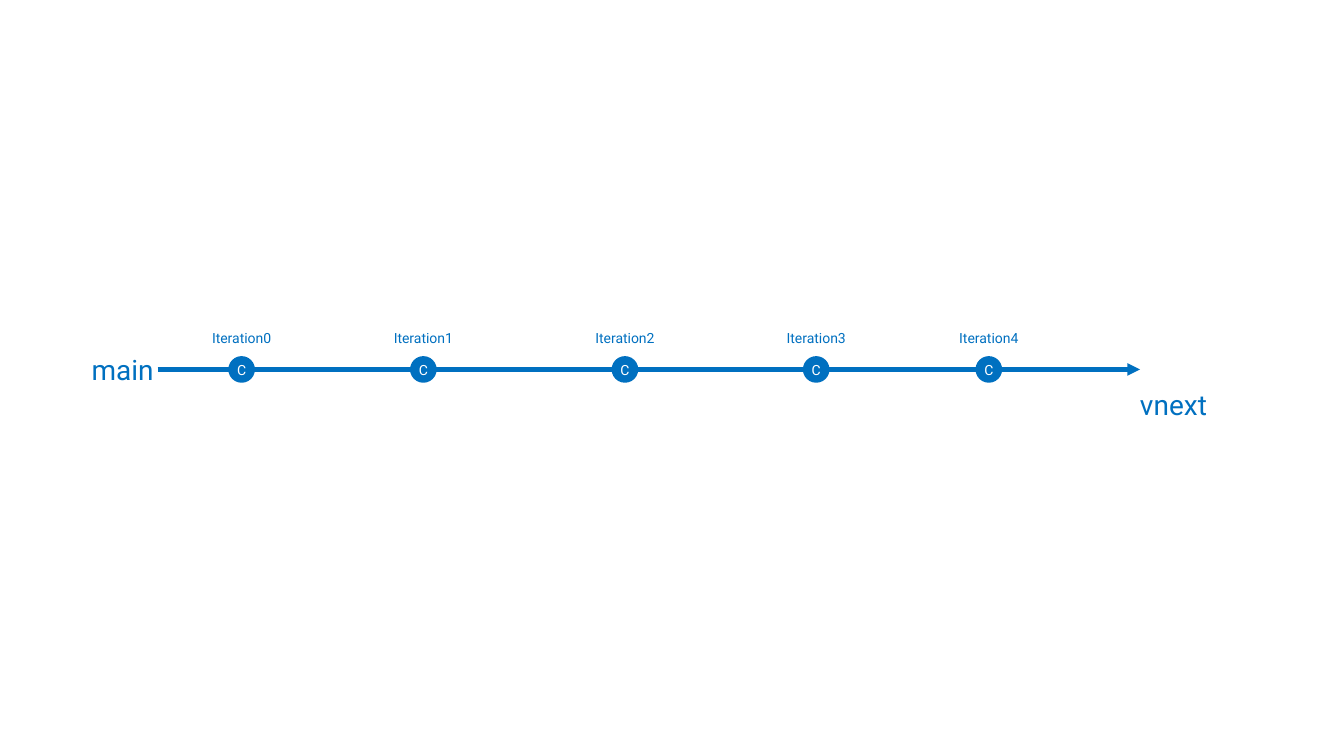
from dataclasses import dataclass

from lxml.etree import SubElement
from pptx import Presentation
from pptx.dml.color import RGBColor
from pptx.enum.shapes import MSO_CONNECTOR, MSO_SHAPE
from pptx.enum.text import MSO_ANCHOR, PP_ALIGN
from pptx.oxml.ns import qn
from pptx.util import Cm, Pt


@dataclass(frozen=True)
class Theme:
    font: str = "Roboto"
    blue: RGBColor = RGBColor(0x00, 0x70, 0xC0)
    white: RGBColor = RGBColor(0xFF, 0xFF, 0xFF)
    branch_size: int = 20
    commit_size: int = 10
    outline: int = 2
    track: int = 3


class BranchDiagram:
    def __init__(self, slide, theme):
        self.shapes = slide.shapes
        self.theme = theme

    def set_text(self, shape, text, size, color, align, anchor, inset=0.0):
        frame = shape.text_frame
        frame.text = text
        frame.word_wrap = True
        frame.vertical_anchor = anchor
        frame.margin_left = frame.margin_right = Cm(inset)
        frame.margin_top = frame.margin_bottom = Cm(inset)
        paragraph = frame.paragraphs[0]
        paragraph.alignment = align
        run = paragraph.runs[0]
        run.font.name = self.theme.font
        run.font.size = Pt(size)
        run.font.color.rgb = color
        return run

    def commit(self, center, middle, diameter):
        circle = self.shapes.add_shape(
            MSO_SHAPE.OVAL, Cm(center - diameter / 2), Cm(middle - diameter / 2),
            Cm(diameter), Cm(diameter))
        circle.shadow.inherit = False
        circle.fill.solid()
        circle.fill.fore_color.rgb = self.theme.blue
        circle.line.color.rgb = self.theme.blue
        circle.line.width = Pt(self.theme.outline)
        letter = self.set_text(circle, "C", self.theme.commit_size, self.theme.white,
                               PP_ALIGN.CENTER, MSO_ANCHOR.BOTTOM)
        letter.font._element.set("spc", "-50")

    def iteration(self, text, center, top, width=2.01, height=0.51):
        label = self.shapes.add_shape(
            MSO_SHAPE.ROUNDED_RECTANGLE, Cm(center - width / 2), Cm(top),
            Cm(width), Cm(height))
        label.shadow.inherit = False
        label.fill.background()
        label.line.fill.background()
        self.set_text(label, text, self.theme.commit_size, self.theme.blue,
                      PP_ALIGN.CENTER, MSO_ANCHOR.MIDDLE, inset=0.1)

    def branch_name(self, text, left, top, width, height=0.86):
        box = self.shapes.add_textbox(Cm(left), Cm(top), Cm(width), Cm(height))
        self.set_text(box, text, self.theme.branch_size, self.theme.blue,
                      PP_ALIGN.LEFT, MSO_ANCHOR.TOP)

    def track(self, start, end, middle, arrow=False):
        segment = self.shapes.add_connector(
            MSO_CONNECTOR.STRAIGHT, Cm(start), Cm(middle), Cm(end), Cm(middle))
        segment.line.color.rgb = self.theme.blue
        segment.line.width = Pt(self.theme.track)
        properties = segment._element.spPr
        if arrow:
            SubElement(properties.find(qn("a:ln")), qn("a:tailEnd"), type="triangle")
        SubElement(properties, qn("a:effectLst"))


presentation = Presentation()
presentation.slide_width = Cm(33.87)
presentation.slide_height = Cm(19.05)
slide = presentation.slides.add_slide(presentation.slide_layouts[6])
diagram = BranchDiagram(slide, Theme())

# Timeline measures
TRACK_Y = 9.31
DIAMETER = 0.6
TRACK_START, TRACK_END = 3.97, 28.73
commit_centers = [6.09, 10.67, 15.75, 20.57, 24.92]

# Track segments between the commits, the last one with an arrowhead
starts = [TRACK_START] + [center + DIAMETER / 2 for center in commit_centers]
ends = [center - DIAMETER / 2 for center in commit_centers] + [TRACK_END]
for start, end in zip(starts, ends):
    diagram.track(start, end, TRACK_Y, arrow=end == TRACK_END)

# Commits with their iteration labels
for number, center in enumerate(commit_centers):
    diagram.commit(center, TRACK_Y, DIAMETER)
    diagram.iteration(f"Iteration{number}", center, top=8.25)

# Branch names at both ends
diagram.branch_name("main", left=2.31, top=8.89, width=1.65)
diagram.branch_name("vnext", left=TRACK_END, top=9.77, width=1.78)

presentation.save("out.pptx")
